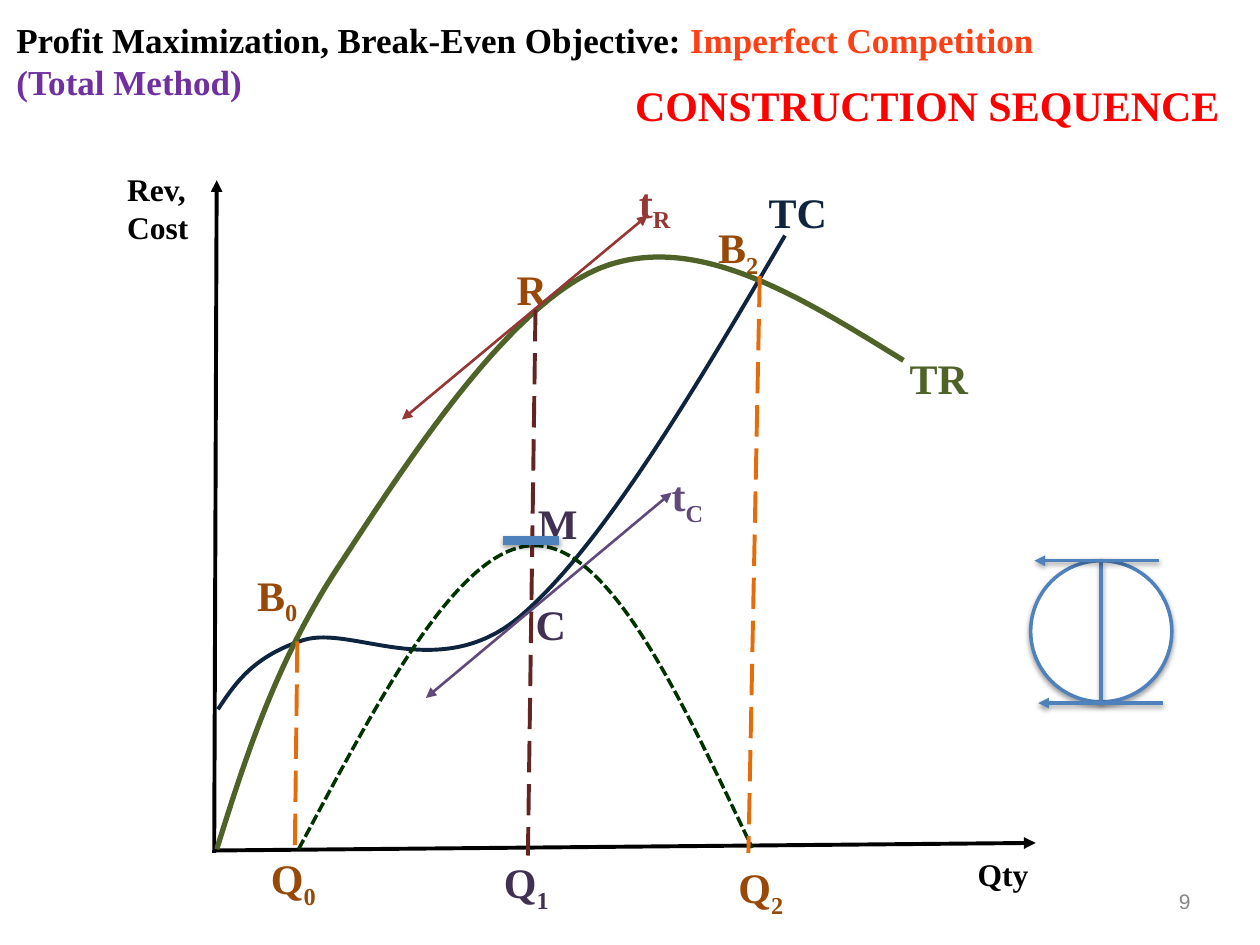
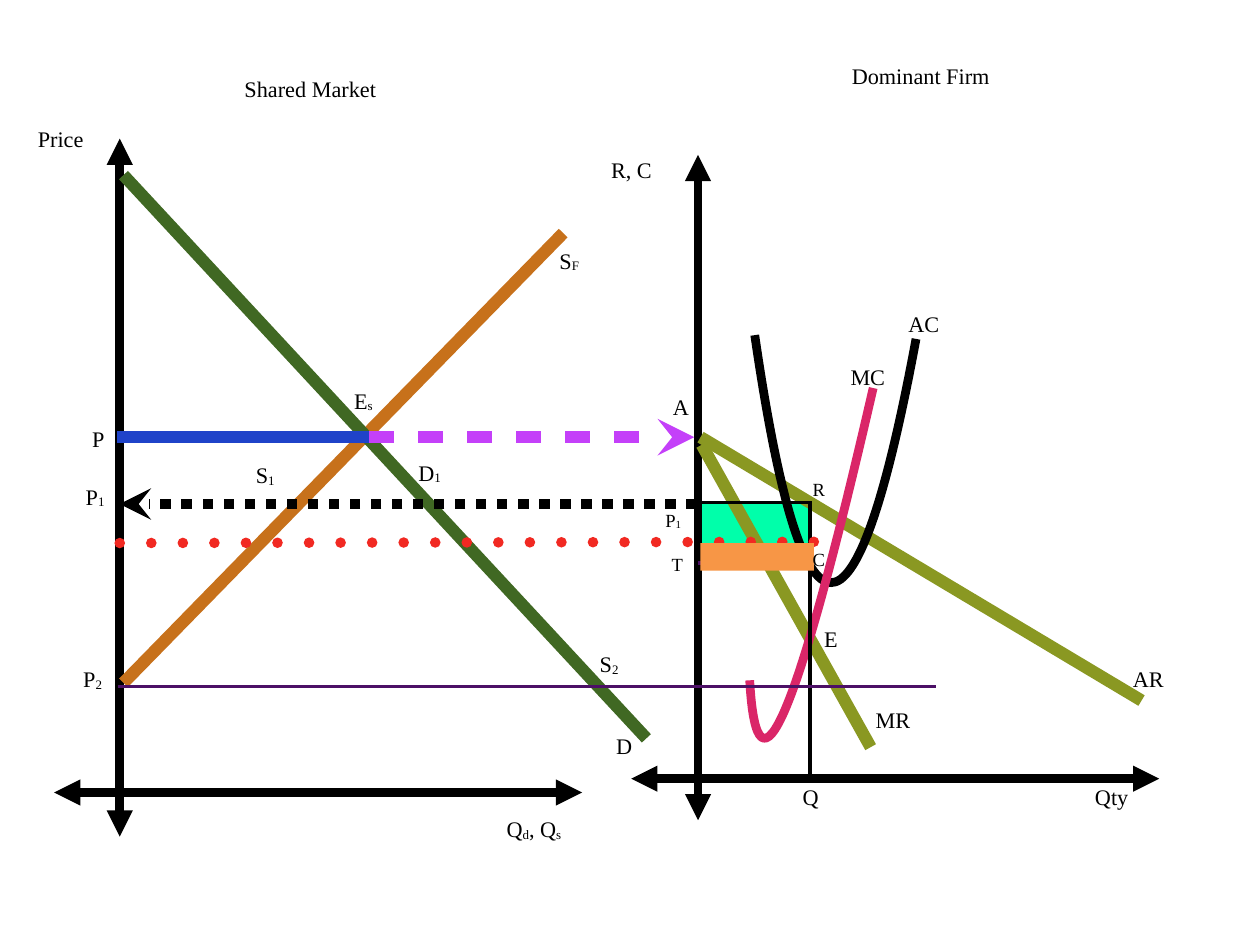
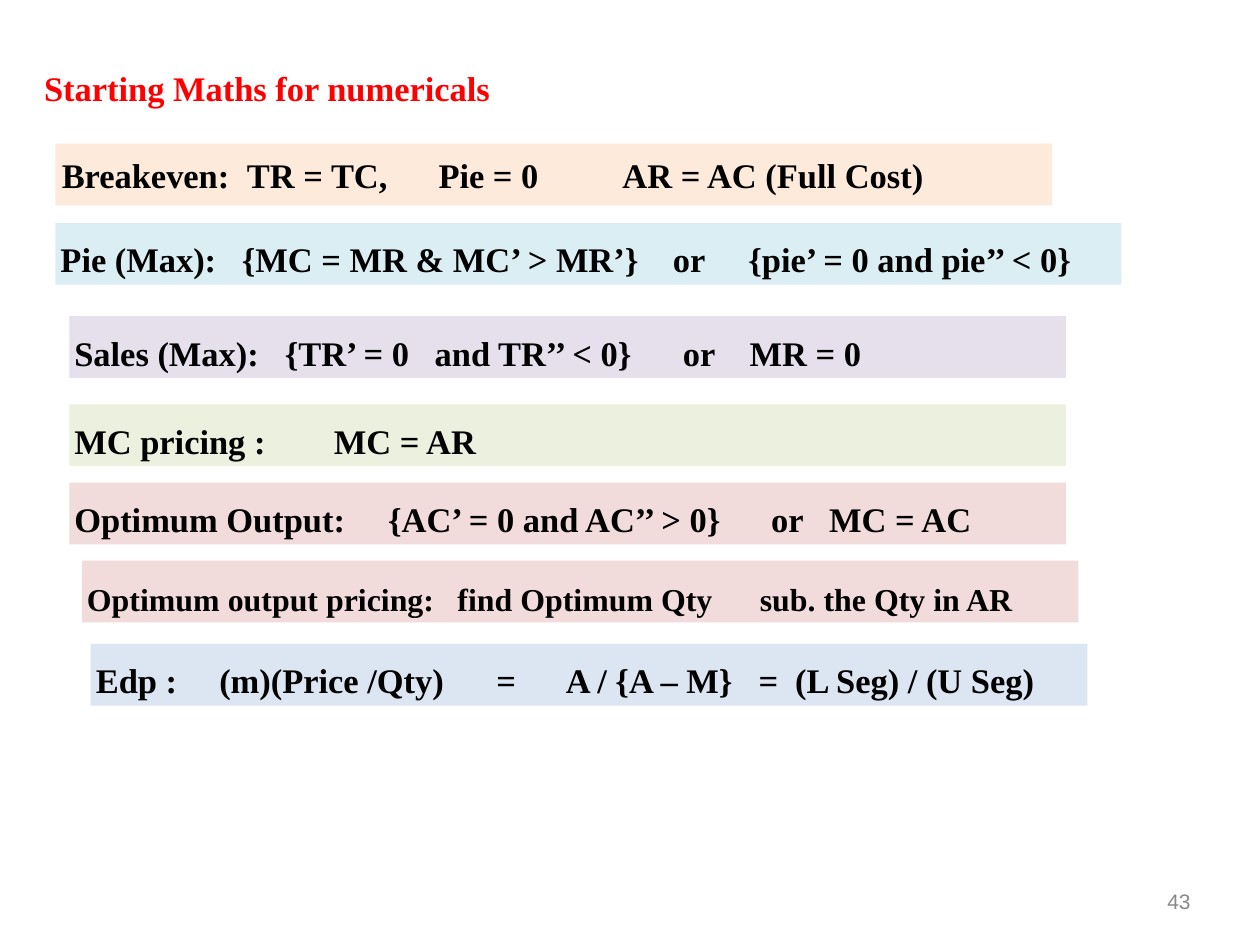
import lxml.etree
import pptx
import pptx.dml.color
import pptx.enum.shapes
import pptx.enum.text
import pptx.oxml.ns
import pptx.util

SERIF, SANS = "Times New Roman", "Arial"
BLACK, RED, GREY, WHITE = "000000", "FF0000", "888888", "FFFFFF"
NAVY, OLIVE, BROWN, BRICK = "0F253F", "4F6228", "984807", "953735"
PURPLE, PLUM, ORANGE, BLUE = "604A7B", "403152", "E46C0A", "4F81BD"
MOSS, MAGENTA, VIOLET = "8A9822", "DA2668", "4C1066"
CURVE_STEPS = 24

inch = pptx.util.Inches
rgb = pptx.dml.color.RGBColor.from_string
qn = pptx.oxml.ns.qn
child = lxml.etree.SubElement
Align = pptx.enum.text.PP_ALIGN
Anchor = pptx.enum.text.MSO_ANCHOR
Shape = pptx.enum.shapes.MSO_SHAPE


def write(box, text, color=BLACK, size=24, font=SERIF, bold=True, align=Align.LEFT,
          anchor=Anchor.TOP, inset=0.05, subscript=-25, tabs=()):
    """Append text to the box's first paragraph; every second part between underscores is subscript."""
    frame = box.text_frame
    frame.word_wrap = True
    frame.auto_size = pptx.enum.text.MSO_AUTO_SIZE.NONE
    frame.vertical_anchor = anchor
    frame.margin_left = frame.margin_right = inch(inset)
    frame.margin_top = frame.margin_bottom = inch(inset)
    para = frame.paragraphs[0]
    para.alignment = align
    if tabs:
        tab_list = child(para._p.get_or_add_pPr(), qn("a:tabLst"))
        for stop in tabs:
            child(tab_list, qn("a:tab"), pos=str(inch(stop)), algn="l")
    for index, part in enumerate(text.split("_")):
        span = para.add_run()
        span.text = part
        span.font.name, span.font.size, span.font.bold = font, pptx.util.Pt(size), bold
        span.font.color.rgb = rgb(color)
        if index % 2:
            span.font._element.set("baseline", str(subscript * 1000))


def draw(page, points, color, width, dash=None, cap=None, head=None, tail=None,
         shadow=False, oval=False):
    """Draw a line through two points, an oval between two corners, or a chain of Bezier curves."""
    points = [(inch(x), inch(y)) for x, y in points]
    (left, top), (right, bottom) = points[0], points[-1]
    if oval:
        shape = page.shapes.add_shape(Shape.OVAL, left, top, right - left, bottom - top)
        shape.fill.solid()
        shape.fill.fore_color.rgb = rgb(WHITE)
    elif len(points) == 2:
        shape = page.shapes.add_connector(
            pptx.enum.shapes.MSO_CONNECTOR.STRAIGHT, left, top, right, bottom)
    else:
        # Sampled points give the tight bounds; true Bezier segments then take their place.
        samples = []
        for first in range(0, len(points) - 1, 3):
            for step in range(1, CURVE_STEPS + 1):
                t = step / CURVE_STEPS
                weights = ((1 - t) ** 3, 3 * t * (1 - t) ** 2, 3 * t * t * (1 - t), t ** 3)
                samples.append(tuple(
                    sum(weight * point[axis]
                        for weight, point in zip(weights, points[first:first + 4]))
                    for axis in (0, 1)))
        builder = page.shapes.build_freeform(left, top)
        builder.add_line_segments(samples, close=False)
        shape = builder.convert_to_shape()
        shape.fill.background()
        outline = next(shape._element.iter(qn("a:path")))
        for segment in outline.findall(qn("a:lnTo")):
            outline.remove(segment)
        for first in range(1, len(points), 3):
            curve = child(outline, qn("a:cubicBezTo"))
            for x, y in points[first:first + 3]:
                child(curve, qn("a:pt"), x=str(x - shape.left), y=str(y - shape.top))
    shape.line.color.rgb = rgb(color)
    shape.line.width = pptx.util.Pt(width)
    properties = shape._element.spPr
    line = properties.find(qn("a:ln"))
    if cap:
        line.set("cap", cap)
    if isinstance(dash, str):
        child(line, qn("a:prstDash"), val=dash)
    elif dash:
        pattern = child(line, qn("a:custDash"))
        child(pattern, qn("a:ds"), d=str(dash[0] * 100000), sp=str(dash[1] * 100000))
    for end, arrow in (("a:headEnd", head), ("a:tailEnd", tail)):
        if arrow:
            child(line, qn(end), type=arrow)
    effects = child(properties, qn("a:effectLst"))
    if shadow:
        outer = child(effects, qn("a:outerShdw"), blurRad=str(pptx.util.Pt(3)),
                      dist=str(pptx.util.Pt(1.6)), dir="5400000", rotWithShape="0")
        shade = child(outer, qn("a:srgbClr"), val=BLACK)
        child(shade, qn("a:alpha"), val="38000")


deck = pptx.Presentation()
deck.slide_width, deck.slide_height = inch(10), inch(7.5)
title_only, blank = deck.slide_layouts[5], deck.slide_layouts[6]
total_page, market_page, maths_page = [
    deck.slides.add_slide(layout) for layout in (title_only, blank, title_only)]

for page, number in ((total_page, "9"), (maths_page, "43")):
    box = page.shapes.add_textbox(inch(9.2), inch(7), inch(0.3), inch(0.3))
    write(box, number, color=GREY, size=12, font=SANS, bold=False,
          align=Align.RIGHT, anchor=Anchor.MIDDLE)

# Total revenue and total cost
title = total_page.shapes.title
title.left, title.top, title.width, title.height = map(inch, (0.08, 0.1, 8.72, 0.77))
for text, color in (("Profit Maximization, Break-Even Objective: ", BLACK),
                    ("Imperfect Competition ", "FF4015"),
                    ("(Total Method)", "7030A0")):
    write(title, text, color=color, size=20)

for text, left, top, width, color in (
        ("CONSTRUCTION SEQUENCE", 4.99, 0.58, 4.77, RED),
        ("TC", 6.05, 1.43, 0.58, NAVY),
        ("TR", 7.17, 2.75, 0.58, OLIVE),
        ("t_R", 5.02, 1.35, 0.41, BRICK),
        ("t_C", 5.28, 3.68, 0.4, PURPLE),
        ("B_2", 5.65, 1.71, 0.47, BROWN),
        ("B_0", 1.99, 4.47, 0.58, BROWN),
        ("Q_0", 2.1, 6.72, 0.5, BROWN),
        ("Q_1", 3.95, 6.75, 0.5, PLUM),
        ("Q_2", 5.81, 6.79, 0.52, BROWN),
        ("R", 4.05, 2.04, 0.34, BROWN),
        ("C", 4.2, 4.7, 0.41, PLUM),
        ("M", 4.22, 3.9, 0.3, PLUM)):
    box = total_page.shapes.add_textbox(inch(left), inch(top), inch(width), inch(0.5))
    write(box, text, color=color)
for text, left, top, height in (("Rev, Cost", 0.96, 1.3, 0.71), ("Qty", 7.71, 6.74, 0.42)):
    box = total_page.shapes.add_textbox(inch(left), inch(top), inch(0.84), inch(height))
    write(box, text, size=18)

axis = dict(color=BLACK, width=2.25, head="triangle")
tangent = dict(width=1.5, head="triangle", tail="triangle")
drop = dict(width=2.25, dash="lgDash")
accent = dict(color=BLUE, width=2, shadow=True)
for points, style in (
        (((1.72, 1.43), (1.7, 6.77)), axis),
        (((8.22, 6.69), (1.7, 6.75)), axis),
        (((1.73, 5.63), (1.87, 5.42), (2.01, 5.21), (2.41, 5.08), (2.8, 4.96),
          (3.48, 5.43), (4.12, 4.9), (4.76, 4.36), (5.5, 3.12), (6.23, 1.87)),
         dict(color=NAVY, width=2.25)),
        (((1.72, 6.74), (1.96, 5.97), (2.21, 5.2), (2.73, 4.43), (3.24, 3.65),
          (4.07, 2.37), (4.81, 2.11), (5.55, 1.85), (6.36, 2.36), (7.17, 2.86)),
         dict(color=OLIVE, width=3)),
        (((3.19, 3.33), (5.14, 1.71)), dict(tangent, color=BRICK)),
        (((3.38, 5.54), (5.33, 3.91)), dict(tangent, color=PURPLE)),
        (((2.37, 6.74), (3.01, 5.54), (3.64, 4.33), (4.24, 4.33),
          (4.84, 4.32), (5.4, 5.53), (5.97, 6.73)),
         dict(color="003300", width=2, dash="sysDash")),
        (((2.36, 5.09), (2.34, 6.77)), dict(drop, color=ORANGE)),
        (((4.25, 2.46), (4.19, 6.79)), dict(drop, color="632523")),
        (((6.03, 2.19), (5.94, 6.77)), dict(drop, color=ORANGE)),
        (((3.99, 4.29), (4.44, 4.29)), dict(accent, width=5)),
        (((8.18, 4.45), (9.3, 5.57)), dict(accent, oval=True)),
        (((8.74, 4.46), (8.74, 5.58)), accent),
        (((9.23, 5.58), (8.24, 5.58)), dict(accent, tail="triangle")),
        (((9.2, 4.45), (8.21, 4.45)), dict(accent, tail="triangle"))):
    draw(total_page, points, **style)

# Shared market and dominant firm: profit areas first and last, curves between them
axis = dict(color=BLACK, width=5, head="triangle", tail="triangle")
market_strokes = (
    (((0.95, 6.64), (0.95, 1.1)), axis),
    (((0.43, 6.29), (4.62, 6.29)), axis),
    (((5.54, 6.51), (5.54, 1.23)), axis),
    (((5.01, 6.18), (9.2, 6.18)), axis),
    (((0.98, 5.42), (4.47, 1.85)), dict(color="C7711B", width=7)),
    (((5.13, 5.86), (0.98, 1.39)), dict(color="406823", width=7)),
    (((0.93, 3.47), (2.93, 3.47)), dict(color="1F43C9", width=7)),
    (((2.93, 3.47), (5.51, 3.47)),
     dict(color="C440F9", width=7, dash=(2, 2), tail="stealth")),
    (((5.56, 3.47), (9.06, 5.56)), dict(color=MOSS, width=7)),
    (((5.57, 3.53), (6.91, 5.93)), dict(color=MOSS, width=7)),
    (((7.27, 2.69), (6.79, 5.28), (6.37, 5.27), (5.99, 2.66)), dict(color=BLACK, width=5)),
    (((5.95, 5.4), (6.01, 6.46), (6.33, 5.69), (6.93, 3.08)), dict(color=MAGENTA, width=5)),
    (((6.43, 6.21), (6.43, 3.98)), dict(color=BLACK, width=2)),
    (((6.41, 3.99), (5.54, 3.99)), dict(color=BLACK, width=2)),
    (((5.54, 4.47), (6.44, 4.47)), dict(color=VIOLET, width=2)),
    (((0.94, 5.45), (7.43, 5.45)), dict(color=VIOLET, width=2)),
    (((5.53, 4), (0.95, 4)), dict(color=BLACK, width=6, dash="sysDot", tail="stealth")),
    (((0.95, 4.31), (6.47, 4.3)), dict(color="F12922", width=6, dash=(1, 2), cap="rnd")),
)
for left, top, width, height, color, strokes in (
        (5.56, 3.98, 0.88, 0.49, "00FFAA", market_strokes),
        (5.56, 4.31, 0.9, 0.22, "F79646", ())):
    area = market_page.shapes.add_shape(
        Shape.RECTANGLE, inch(left), inch(top), inch(width), inch(height))
    area.shadow.inherit = False
    area.fill.solid()
    area.fill.fore_color.rgb = rgb(color)
    area.line.fill.background()
    for points, style in strokes:
        draw(market_page, points, **style)

large_labels = (
    ("Shared Market", 1.9, 0.45, 2.32), ("Dominant Firm", 6.72, 0.35, 2.32),
    ("Price", 0.26, 0.85, 0.66), ("Q_d_, Q_s", 3.98, 6.33, 0.85),
    ("R, C", 4.81, 1.1, 0.7), ("Qty", 8.65, 6.07, 0.81),
    ("D", 4.85, 5.67, 0.54), ("S_F", 4.4, 1.82, 0.44), ("E_s", 2.77, 2.93, 0.59),
    ("P", 0.69, 3.23, 0.52), ("P_1", 0.64, 3.69, 0.52), ("P_2", 0.62, 5.14, 0.64),
    ("S_1", 1.99, 3.52, 0.52), ("D_1", 3.28, 3.5, 0.52), ("S_2", 4.72, 5.02, 0.64),
    ("A", 5.3, 2.98, 0.52), ("AR", 8.95, 5.14, 0.52), ("MR", 6.91, 5.46, 0.52),
    ("AC", 7.17, 2.32, 0.66), ("MC", 6.71, 2.74, 0.52),
    ("E", 6.5, 4.82, 0.28), ("Q", 6.33, 6.07, 0.52))
small_labels = (("P_1", 5.24, 3.95, 0.36), ("T", 5.29, 4.3, 0.24),
                ("R", 6.41, 3.71, 0.26), ("C", 6.41, 4.26, 0.26))
for labels, size, height in ((large_labels, 12.7, 0.5), (small_labels, 10.6, 0.35)):
    for text, left, top, width in labels:
        box = market_page.shapes.add_textbox(inch(left), inch(top), inch(width), inch(height))
        write(box, text, size=size, bold=False, anchor=Anchor.MIDDLE, inset=0.04, subscript=-6)

# Formula bands
band_width, band_height = 7.91, 0.49
formula = dict(size=19.7, align=Align.JUSTIFY, anchor=Anchor.BOTTOM, inset=0.04)
title = maths_page.shapes.title
title.left, title.top, title.width, title.height = map(
    inch, (0.31, 0.41, band_width, band_height))
write(title, "Starting Maths for numericals", color=RED, **formula)

for text, tabs, left, top, color, changes in (
        ("Breakeven:\tTR = TC,\tPie = 0\tAR = AC (Full Cost)", (1.47, 2.99, 4.45),
         0.44, 1.14, "FDEADA", dict(anchor=Anchor.MIDDLE, inset=0.05)),
        ("Pie (Max):\t{MC = MR & MC’ > MR’}\tor\t{pie’ = 0 and pie’’ < 0}",
         (1.44, 4.86, 5.46), 0.44, 1.77, "DBEEF4", {}),
        ("Sales (Max):\t{TR’ = 0\tand TR’’ < 0}\tor\tMR = 0", (1.67, 2.86, 4.83, 5.36),
         0.55, 2.51, "E6E0EC", {}),
        ("MC pricing :\tMC = AR", (2.06,), 0.55, 3.21, "EBF1DE", {}),
        ("Optimum Output:\t{AC’ = 0 and AC’’ > 0}\tor\tMC = AC", (2.49, 5.53, 5.99),
         0.55, 3.83, "F2DCDB", {}),
        ("Optimum output pricing:\tfind Optimum Qty\tsub. the Qty in AR", (2.94, 5.34),
         0.65, 4.45, "F2DCDB", dict(size=18.2)),
        ("Edp :\t(m)(Price /Qty)\t=\tA / {A – M}\t=\t(L Seg) / (U Seg)",
         (0.98, 3.18, 3.73, 5.26, 5.55), 0.72, 5.11, "DCE6F2", {})):
    width = 8.46 if text.startswith("Pie") else band_width
    band = maths_page.shapes.add_shape(
        Shape.RECTANGLE, inch(left), inch(top), inch(width), inch(band_height))
    band.shadow.inherit = False
    band.fill.solid()
    band.fill.fore_color.rgb = rgb(color)
    band.line.fill.background()
    write(band, text, tabs=tabs, **{**formula, **changes})

deck.save("out.pptx")
